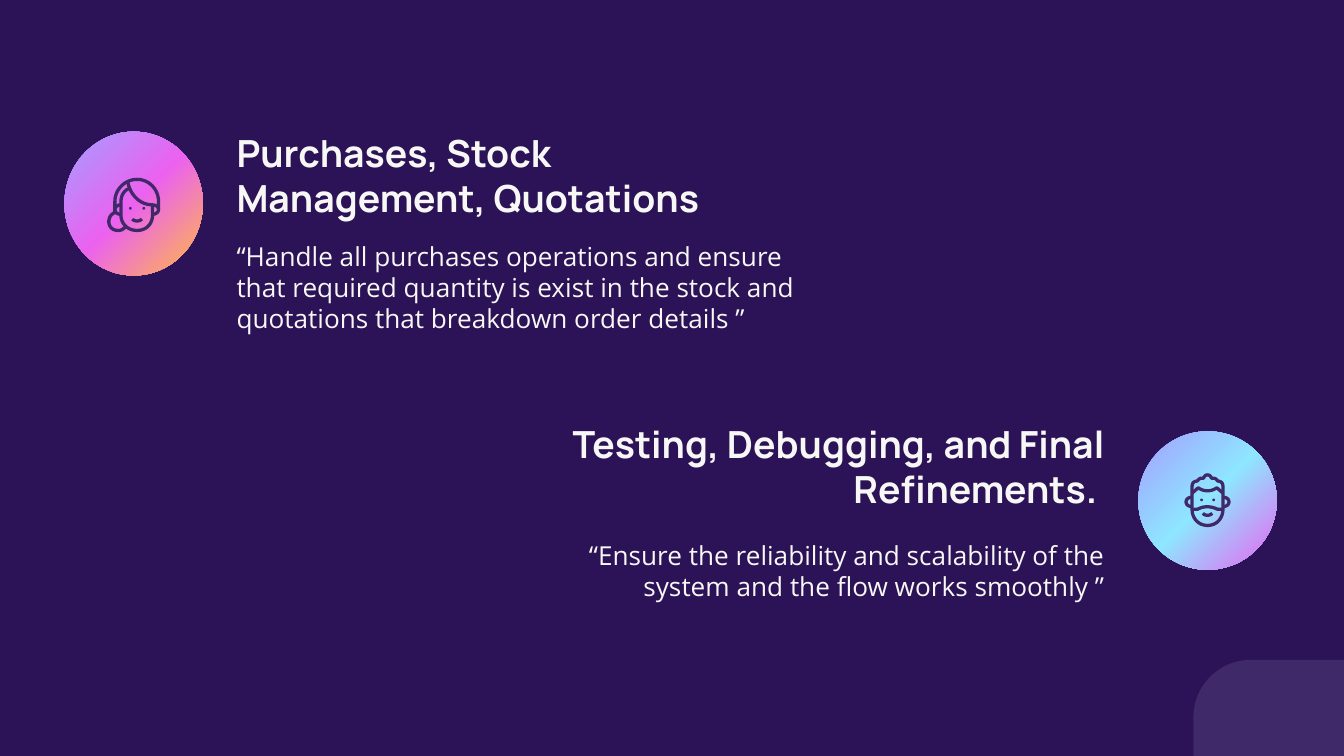
from copy import deepcopy

from lxml.etree import SubElement
from pptx import Presentation
from pptx.dml.color import RGBColor
from pptx.enum.shapes import MSO_SHAPE as Preset
from pptx.enum.text import MSO_ANCHOR, MSO_AUTO_SIZE, PP_ALIGN
from pptx.oxml.ns import qn
from pptx.util import Inches, Pt

NIGHT = RGBColor(0x2C, 0x12, 0x56)
PLUM = RGBColor(0x40, 0x29, 0x68)
IVORY = RGBColor(0xF7, 0xF7, 0xF5)
LAVENDER = RGBColor(0xA4, 0x9E, 0xFF)
ORCHID = RGBColor(0xEB, 0x62, 0xF0)
AMBER = RGBColor(0xFF, 0xBB, 0x43)
SKY = RGBColor(0x8E, 0xE6, 0xFF)

CURVE_STEPS = 12
ICON_UNIT = 0.01

WOMAN_STROKES = [
    [(5.5, 26), (5.5, 18), (5.5, 9, 13, 1.5, 22, 1.5), (31, 1.5, 38, 9, 38, 18), (38, 24)],
    [(15.5, 8.5), (12, 10, 10, 14, 10, 18), (10, 28),
     (10, 34.5, 15, 39.5, 22, 39.5), (29, 39.5, 33.5, 34.5, 33.5, 28), (33.5, 20.5)],
    [(15, 3), (17, 14, 25, 20.5, 33.5, 20.5), (36, 20.5, 38, 22, 38, 24),
     (38, 26, 36, 27.5, 33.5, 27.5)],
    [(10, 20.5), (4, 20.5, 4, 27.5, 10, 27.5)],
    [(6, 26), (-1, 28, -1, 39.5, 8, 39.5), (10, 39.5, 12, 38.5, 13, 37)],
    [(18.5, 31), (20, 33, 24, 33, 25.5, 31)],
]
WOMAN_EYES = [(17, 23), (27, 23)]
MAN_STROKES = [
    [(6, 10), (6, 27), (6, 34, 11, 39, 17.5, 39), (24, 39, 29, 34, 29, 27), (29, 10),
     (29, 7, 27, 6, 25, 6), (24, 4, 22, 3.5, 20.5, 4), (19.5, 0.5, 15.5, 0.5, 14.5, 4),
     (13, 3.5, 11, 4, 10, 6), (8, 6, 6, 7, 6, 10)],
    [(6, 15), (10.5, 11), (15, 14, 20, 14, 24.5, 11), (29, 15)],
    [(6, 27), (10, 27), (14.5, 24.5, 20, 24.5, 25, 27), (29, 27)],
    [(6, 18), (0, 18, 0, 25, 6, 25)],
    [(29, 18), (35, 18, 35, 25, 29, 25)],
    [(14, 30), (16, 32, 19, 32, 21, 30)],
]
MAN_EYES = [(13, 20), (22, 20)]


def add_flat_shape(shapes, preset, box, color):
    shape = shapes.add_shape(preset, *map(Inches, box))
    shape.shadow.inherit = False
    shape.fill.solid()
    shape.fill.fore_color.rgb = color
    shape.line.fill.background()
    return shape


def add_gradient_disc(shapes, box, colors):
    disc = add_flat_shape(shapes, Preset.OVAL, box, colors[0])
    disc.fill.gradient()
    disc.fill.gradient_angle = 315
    stop_list = next(disc._element.iter(qn("a:gsLst")))
    stop_list.append(deepcopy(stop_list[0]))
    for stop, color, position in zip(disc.fill.gradient_stops, colors, (0, 0.5, 1)):
        stop.color.rgb = color
        stop.position = position


def trace(stroke):
    points = [stroke[0]]
    for segment in stroke[1:]:
        if len(segment) == 2:
            points.append(segment)
            continue
        x0, y0 = points[-1]
        x1, y1, x2, y2, x3, y3 = segment
        for step in range(1, CURVE_STEPS + 1):
            t = step / CURVE_STEPS
            a, b, c, d = (1 - t) ** 3, 3 * t * (1 - t) ** 2, 3 * t * t * (1 - t), t ** 3
            points.append((a * x0 + b * x1 + c * x2 + d * x3,
                           a * y0 + b * y1 + c * y2 + d * y3))
    return points


def add_face_icon(slide, left, top, strokes, eyes):
    icon = slide.shapes.add_group_shape().shapes
    for stroke in strokes:
        points = [(x * 100, y * 100) for x, y in trace(stroke)]
        builder = icon.build_freeform(*points[0], scale=Inches(ICON_UNIT) / 100)
        builder.add_line_segments(points[1:], close=False)
        outline = builder.convert_to_shape(Inches(left), Inches(top))
        outline.shadow.inherit = False
        outline.fill.background()
        outline.line.color.rgb = PLUM
        outline.line.width = Pt(1.75)
    for x, y in eyes:
        eye = (left + (x - 1) * ICON_UNIT, top + (y - 1) * ICON_UNIT, 0.02, 0.02)
        add_flat_shape(icon, Preset.OVAL, eye, PLUM)


def fill_placeholder(holder, box, text, font_name, size, bold, align):
    holder.left, holder.top, holder.width, holder.height = map(Inches, box)
    frame = holder.text_frame
    frame.word_wrap = True
    frame.auto_size = MSO_AUTO_SIZE.NONE
    frame.vertical_anchor = MSO_ANCHOR.MIDDLE
    frame.margin_left = frame.margin_right = Inches(0.1)
    frame.margin_top = frame.margin_bottom = Inches(0.1)
    paragraph = frame.paragraphs[0]
    properties = paragraph._p.get_or_add_pPr()
    properties.set("marL", "0")
    properties.set("indent", "0")
    SubElement(properties, qn("a:buNone"))
    paragraph.alignment = align
    paragraph.line_spacing = 1.0
    paragraph.space_before = Pt(0)
    run = paragraph.add_run()
    run.text = text
    run.font.name = font_name
    run.font.size = Pt(size)
    run.font.bold = bold
    run.font.color.rgb = IVORY


def add_role(box, heading, heading_text, summary, summary_text, summary_drop, align):
    left, top, width, _ = box
    fill_placeholder(heading, box, heading_text, "Manrope", 20, True, align)
    summary_box = (left, top + summary_drop, width, 0.79)
    fill_placeholder(summary, summary_box, summary_text, "Open Sans", 14, False, align)


def main():
    deck = Presentation()
    deck.slide_width = Inches(10)
    deck.slide_height = deck.slide_width * 9 // 16
    slide = deck.slides.add_slide(deck.slide_layouts[4])
    slide.background.fill.solid()
    slide.background.fill.fore_color.rgb = NIGHT

    corner = add_flat_shape(slide.shapes, Preset.ROUNDED_RECTANGLE,
                            (8.88, 4.91, 2.56, 2.65), PLUM)
    corner.adjustments[0] = 0.167

    holders = {holder.placeholder_format.idx: holder for holder in slide.placeholders}
    add_role((1.66, 1, 4.44, 0.6),
             holders[0], "Purchases, Stock Management, Quotations",
             holders[1], "“Handle all purchases operations and ensure that required quantity "
             "is exist in the stock and quotations that breakdown order details ”",
             0.74, PP_ALIGN.LEFT)
    add_role((3.88, 3.18, 4.44, 0.58),
             holders[3], "Testing, Debugging, and Final Refinements. ",
             holders[2], "“Ensure the reliability and scalability of the system "
             "and the flow works smoothly ”",
             0.67, PP_ALIGN.RIGHT)
    holders[4]._element.getparent().remove(holders[4]._element)

    add_gradient_disc(slide.shapes, (0.48, 0.98, 1.03, 1.07), (LAVENDER, ORCHID, AMBER))
    add_gradient_disc(slide.shapes, (8.47, 3.21, 1.03, 1.03), (LAVENDER, SKY, ORCHID))
    add_face_icon(slide, 8.81, 3.52, MAN_STROKES, MAN_EYES)
    add_face_icon(slide, 0.8, 1.32, WOMAN_STROKES, WOMAN_EYES)

    deck.save("out.pptx")


if __name__ == "__main__":
    main()
